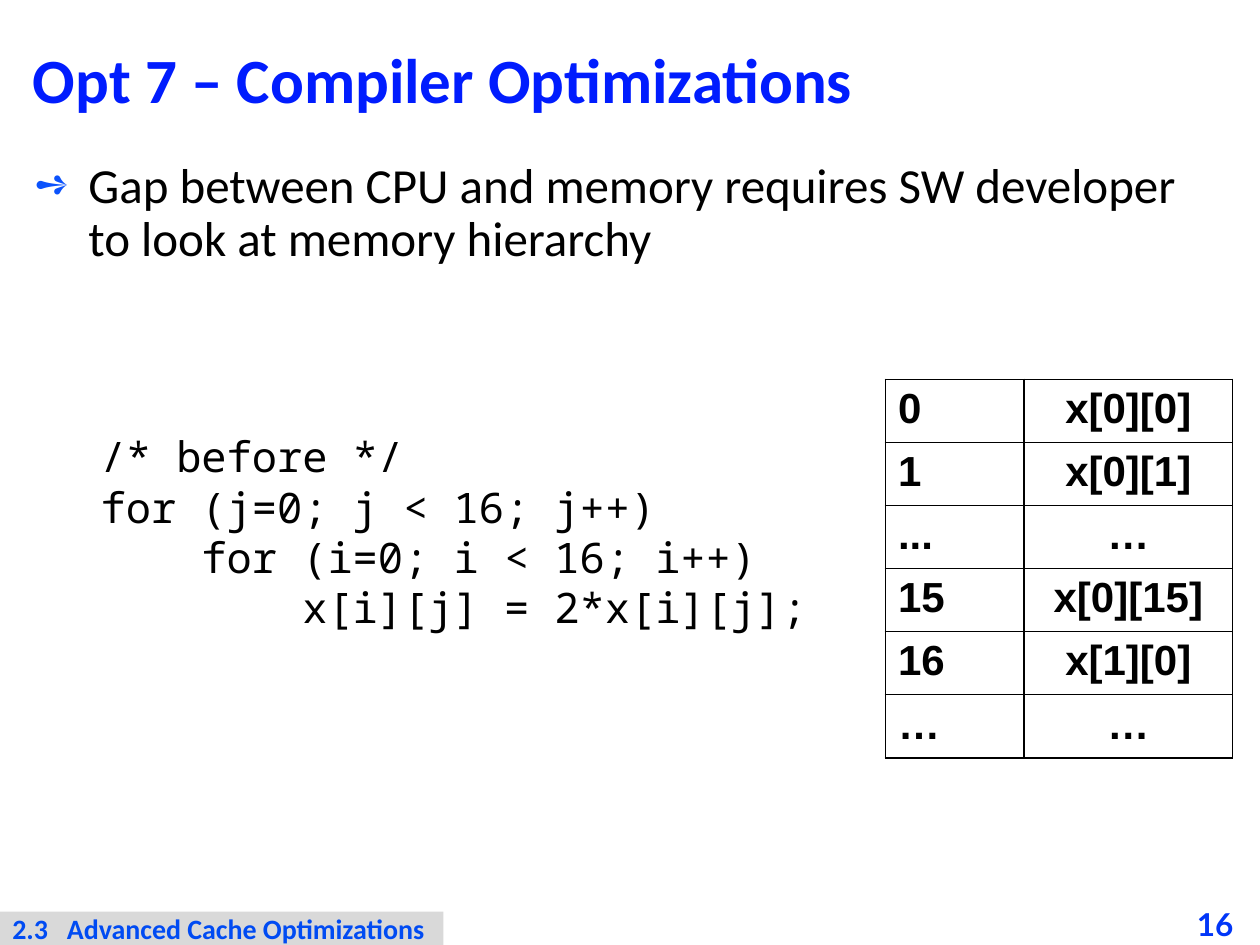
from lxml import etree
from pptx import Presentation
from pptx.dml.color import RGBColor
from pptx.enum.shapes import MSO_SHAPE
from pptx.enum.text import MSO_ANCHOR, MSO_AUTO_SIZE, PP_ALIGN
from pptx.oxml import parse_xml
from pptx.oxml.ns import nsdecls, qn
from pptx.util import Cm, Pt

RECTANGLE = MSO_SHAPE.RECTANGLE
MIDDLE = MSO_ANCHOR.MIDDLE
NO_AUTOFIT = MSO_AUTO_SIZE.NONE
LEFT, CENTER = PP_ALIGN.LEFT, PP_ALIGN.CENTER

COLORS = {
    "title": "001CFE",
    "bullet": "0B52FC",
    "number": "0136F8",
    "footer": "004BF3",
    "band": "D9D9D9",
    "text": "000000",
    "white": "FFFFFF",
}


def format_text(text_frame, font_name, size, color, bold=False, align=LEFT):
    for paragraph in text_frame.paragraphs:
        paragraph.alignment = align
        for run in paragraph.runs:
            run.font.name = font_name
            run.font.size = Pt(size)
            run.font.bold = bold
            run.font.color.rgb = RGBColor.from_string(COLORS[color])


def place(shape, left, top, width, height):
    shape.left, shape.top = Cm(left), Cm(top)
    shape.width, shape.height = Cm(width), Cm(height)


presentation = Presentation()
presentation.slide_width = Cm(25.4)
presentation.slide_height = Cm(19.05)
slide = presentation.slides.add_slide(presentation.slide_layouts[1])

title = slide.shapes.title
place(title, 0.41, 0.41, 24.59, 2.57)
title.fill.solid()
title.fill.fore_color.rgb = RGBColor.from_string(COLORS["white"])
title.text_frame.text = "Opt 7 – Compiler Optimizations"
title.text_frame.auto_size = NO_AUTOFIT
title.text_frame.vertical_anchor = MIDDLE
title.text_frame.paragraphs[0].line_spacing = 0.87
format_text(title.text_frame, "Calibri", 36, "title", bold=True)

body = slide.placeholders[1]
place(body, 0.41, 3.12, 24.59, 15.42)
body.text_frame.text = (
    "Gap between CPU and memory requires SW developer to look at memory hierarchy"
)
body.text_frame.auto_size = NO_AUTOFIT
paragraph = body.text_frame.paragraphs[0]
properties = paragraph._p.get_or_add_pPr()
properties.set("marL", str(Cm(1.12)))
properties.set("indent", str(Cm(-1.09)))
bullet_color = etree.SubElement(properties, qn("a:buClr"))
etree.SubElement(bullet_color, qn("a:srgbClr"), val=COLORS["bullet"])
etree.SubElement(properties, qn("a:buSzPct"), val="85000")
etree.SubElement(properties, qn("a:buChar"), char="➺")
paragraph.line_spacing = 0.9
paragraph.space_before = Pt(0)
paragraph.space_after = Pt(3)
format_text(body.text_frame, "Calibri", 28, "text")

number = slide.shapes.add_textbox(Cm(24.13), Cm(18.21), Cm(1.27), Cm(0.84))
frame = number.text_frame
frame.margin_left = frame.margin_right = frame.margin_top = frame.margin_bottom = 0
frame.word_wrap = True
frame.vertical_anchor = MIDDLE
frame.text = "16"
format_text(frame, "Lato", 18, "number", bold=True)

code = slide.shapes.add_textbox(Cm(1.78), Cm(8.56), Cm(14.99), Cm(4.37))
code.text_frame.word_wrap = False
code.text_frame.text = """/* before */
for (j=0; j < 16; j++)
    for (i=0; i < 16; i++)
        x[i][j] = 2*x[i][j];"""
format_text(code.text_frame, "Noto Sans Mono", 24, "text")

footer = slide.shapes.add_shape(RECTANGLE, Cm(0), Cm(18.38), Cm(8.94), Cm(0.68))
footer.shadow.inherit = False
footer.fill.solid()
footer.fill.fore_color.rgb = RGBColor.from_string(COLORS["band"])
footer.line.fill.background()
frame = footer.text_frame
frame.margin_top = frame.margin_bottom = 0
frame.word_wrap = True
frame.vertical_anchor = MIDDLE
frame.text = "2.3\tAdvanced Cache Optimizations"
tab_list = etree.SubElement(frame.paragraphs[0]._p.get_or_add_pPr(), qn("a:tabLst"))
etree.SubElement(tab_list, qn("a:tab"), pos=str(Cm(1.1)), algn="l")
format_text(frame, "Calibri", 16, "footer", bold=True)

memory_rows = [
    ("0", "x[0][0]"),
    ("1", "x[0][1]"),
    ("...", "…"),
    ("15", "x[0][15]"),
    ("16", "x[1][0]"),
    ("…", "…"),
]
table = slide.shapes.add_table(
    len(memory_rows), 2, Cm(17.85), Cm(7.65), Cm(7), Cm(7.62)
).table
table.first_row = False
table.horz_banding = False
table.columns[0].width = Cm(2.79)
table.columns[1].width = Cm(4.21)
for row, values in enumerate(memory_rows):
    for column, (value, align) in enumerate(zip(values, (LEFT, CENTER))):
        cell = table.cell(row, column)
        cell.text = value
        format_text(cell.text_frame, "Arial", 24, "text", bold=True, align=align)
        for side in ("lnL", "lnR", "lnT", "lnB"):
            cell._tc.get_or_add_tcPr().append(parse_xml(
                f'<a:{side} {nsdecls("a")} w="{Pt(1)}"><a:solidFill>'
                f'<a:srgbClr val="{COLORS["text"]}"/></a:solidFill></a:{side}>'
            ))
        cell.fill.background()

presentation.save("out.pptx")
